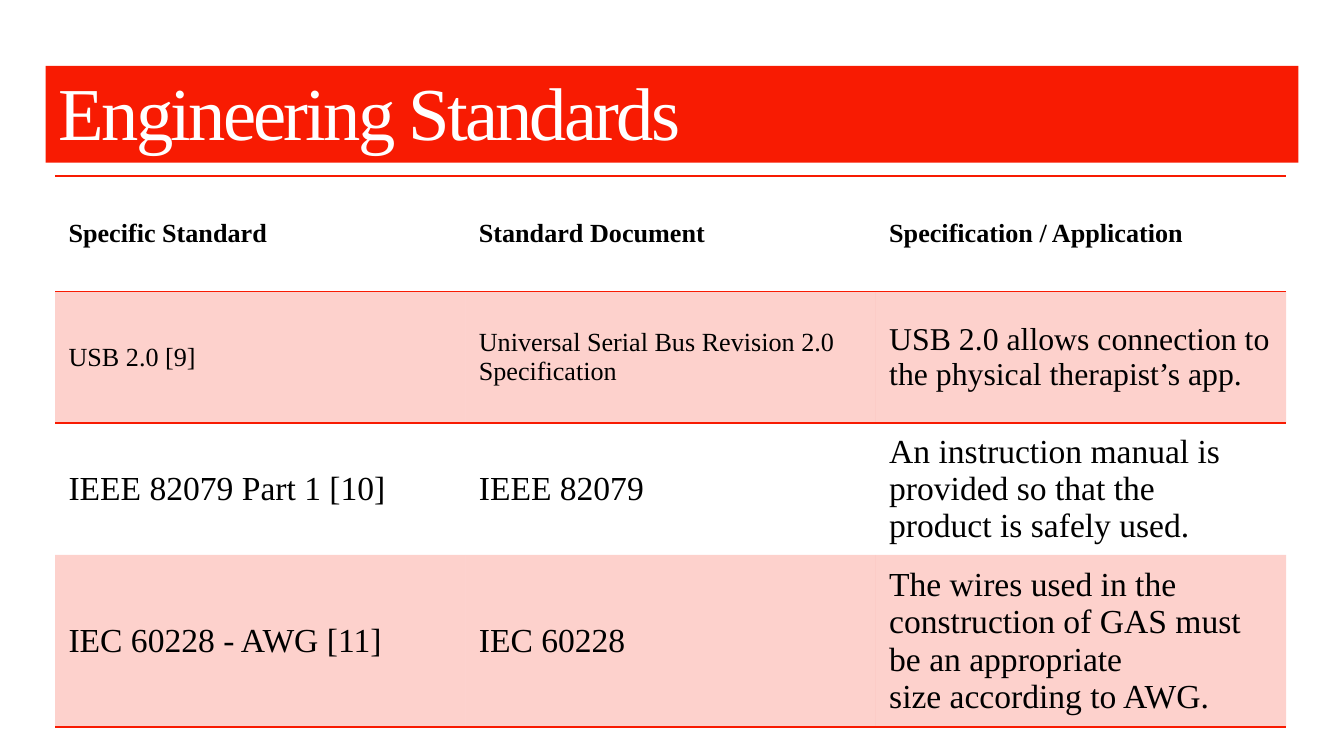
from dataclasses import dataclass

from lxml import etree
from pptx import Presentation
from pptx.dml.color import RGBColor as RGB
from pptx.enum.shapes import MSO_SHAPE as SHAPE
from pptx.enum.text import MSO_ANCHOR as ANCHOR, PP_ALIGN as ALIGN
from pptx.oxml.ns import qn
from pptx.util import Inches, Pt


@dataclass(frozen=True)
class Theme:
    font: str = "Times New Roman"
    accent: str = "F81B02"
    text: str = "000000"
    on_accent: str = "FFFFFF"
    title: int = 40
    small: int = 14
    medium: int = 17
    large: int = 18
    band_alpha: int = 20
    rule: int = 1


T = Theme()
WIDTH = 10
HEIGHT = WIDTH * 9 / 16
TITLE_BOX = (0.34, 0.49, 9.32, 0.72)
TABLE_BOX = (0.41, 1.31, 9.16, 4.1)
ROW_HEIGHTS = (0.86, 0.98, 0.98, 1.28)
PLAIN_STYLE = "{2D5ABB26-0587-4C30-8999-92F81FD0307C}"
HARD_SPACE = chr(160)

# Each row: texts and their sizes; "~" stands for a no-break space
ROWS = (
    (("Specific Standard", T.small),
     ("Standard Document", T.small),
     ("Specification / Application", T.small)),
    (("USB 2.0 [9]", T.small),
     ("Universal Serial Bus Revision 2.0 Specification", T.small),
     ("USB 2.0 allows connection to the physical~therapist’s~app.", T.medium)),
    (("IEEE 82079 Part 1 [10]", T.large),
     ("IEEE 82079", T.large),
     ("An instruction manual is provided~so that~the product~is~safely used.",
      T.large)),
    (("IEC 60228~- AWG [11]", T.large),
     ("IEC 60228", T.large),
     ("The wires used in the construction of GAS must be an appropriate "
      "size~according to AWG.", T.large)),
)


def add_run(p, text, size, color, bold=False):
    r = p.add_run()
    r.text = text.replace("~", HARD_SPACE)
    r.font.name = T.font
    r.font.size = Pt(size)
    r.font.bold = bold
    r.font.color.rgb = RGB.from_string(color)
    return r


def add_title(s, box, text):
    sp = s.shapes.add_shape(SHAPE.RECTANGLE, *map(Inches, box))
    sp.shadow.inherit = False
    sp.fill.solid()
    sp.fill.fore_color.rgb = RGB.from_string(T.accent)
    sp.line.fill.background()
    tf = sp.text_frame
    tf.word_wrap = True
    tf.vertical_anchor = ANCHOR.TOP
    tf.margin_left = tf.margin_right = Inches(0.1)
    tf.margin_top = tf.margin_bottom = Inches(0.1)
    p = tf.paragraphs[0]
    p.alignment = ALIGN.LEFT
    p.line_spacing = 0.85
    r = add_run(p, text, T.title, T.on_accent)
    r.font._element.set("spc", "-150")


def fill_band(cell):
    cell.fill.solid()
    cell.fill.fore_color.rgb = RGB.from_string(T.accent)
    color = next(cell._tc.tcPr.iter(qn("a:srgbClr")))
    etree.SubElement(color, qn("a:alpha"), val=str(T.band_alpha * 1000))


def add_rule(cell, side):
    """Draw one cell edge; call for the bottom before the top."""
    ln = etree.Element(qn(f"a:ln{side}"), w=str(Pt(T.rule)), cmpd="sng")
    fill = etree.SubElement(ln, qn("a:solidFill"))
    etree.SubElement(fill, qn("a:srgbClr"), val=T.accent)
    etree.SubElement(ln, qn("a:prstDash"), val="solid")
    cell._tc.get_or_add_tcPr().insert(0, ln)


def add_standards_table(s, box, rows, heights):
    frame = s.shapes.add_table(len(rows), len(rows[0]), *map(Inches, box))
    table = frame.table
    table.first_row = table.horz_banding = False
    table._tbl.tblPr.find(qn("a:tableStyleId")).text = PLAIN_STYLE
    for column in table.columns:
        column.width = Inches(box[2] / len(rows[0]))

    for i, (row, height) in enumerate(zip(rows, heights)):
        table.rows[i].height = Inches(height)
        header, last = i == 0, i == len(rows) - 1
        for j, (text, size) in enumerate(row):
            cell = table.cell(i, j)
            cell.vertical_anchor = ANCHOR.MIDDLE
            add_run(cell.text_frame.paragraphs[0], text, size, T.text, header)
            # Odd rows are tinted
            if i % 2:
                fill_band(cell)
            else:
                cell.fill.background()
            # Rules around the header and below the table
            if header or last:
                add_rule(cell, "B")
            if i < 2:
                add_rule(cell, "T")


def main():
    prs = Presentation()
    prs.slide_width, prs.slide_height = Inches(WIDTH), Inches(HEIGHT)
    s = prs.slides.add_slide(prs.slide_layouts[6])
    add_title(s, TITLE_BOX, "Engineering Standards")
    add_standards_table(s, TABLE_BOX, ROWS, ROW_HEIGHTS)
    prs.save("out.pptx")


if __name__ == "__main__":
    main()
